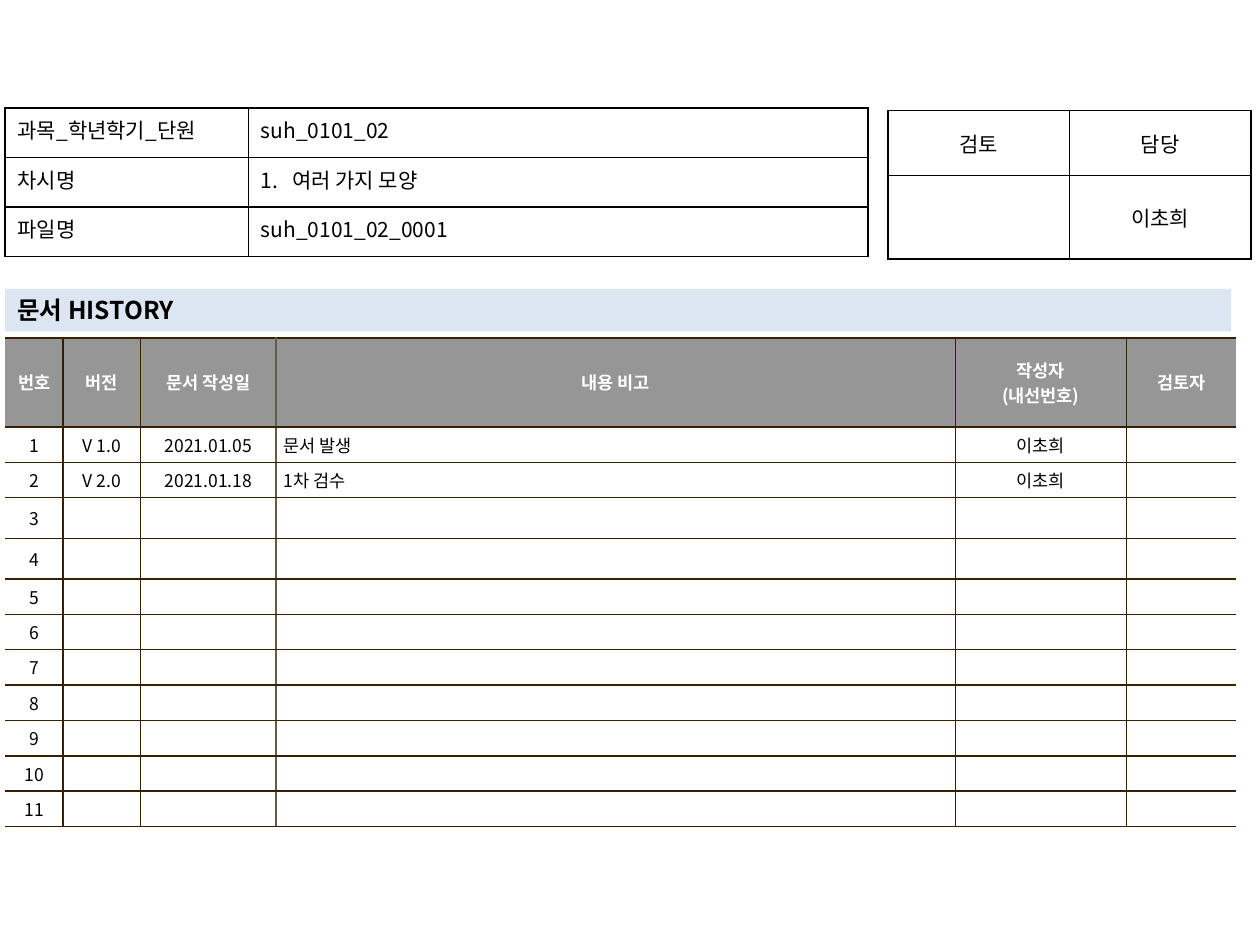
"""Build the document history slide."""
from dataclasses import dataclass
from typing import Optional

from lxml import etree
from pptx import Presentation
from pptx import util as u
from pptx.dml.color import RGBColor
from pptx.enum import shapes, text
from pptx.oxml.ns import qn


@dataclass(frozen=True)
class Theme:
    """Colours, font and type sizes of the slide."""
    font: str = "Noto Sans CJK KR"
    black: str = "000000"
    white: str = "FFFFFF"
    header: str = "969696"
    band: str = "DCE6F2"
    rule: str = "362000"
    soft_rule: str = "645B4C"
    small: float = 10
    body: float = 12
    title: float = 14


THEME = Theme()
LEFT, CENTER, JUSTIFY = text.PP_ALIGN.LEFT, text.PP_ALIGN.CENTER, text.PP_ALIGN.JUSTIFY
TOP, MIDDLE = text.MSO_ANCHOR.TOP, text.MSO_ANCHOR.MIDDLE


@dataclass(frozen=True)
class CellStyle:
    """Look of one table cell."""
    size: float = THEME.body
    color: str = THEME.black
    bold: bool = False
    align: text.PP_ALIGN = CENTER
    anchor: text.MSO_ANCHOR = MIDDLE
    fill: Optional[str] = None
    margins: tuple[float, float] = (7.2, 3.6)
    hanging: float = 0
    numbered: bool = False


@dataclass(frozen=True)
class Grid:
    """Place and track sizes of one table."""
    left: float
    top: float
    columns: list[float]
    rows: list[float]


def style_paragraph(para, style: CellStyle) -> None:
    """Apply alignment, indent, numbering and font to a paragraph."""
    properties = para._p.get_or_add_pPr()
    if style.hanging:
        properties.set("marL", str(u.Pt(style.hanging)))
        properties.set("indent", str(-u.Pt(style.hanging)))
    if style.numbered:
        etree.SubElement(properties, qn("a:buAutoNum"), type="arabicPeriod")
    para.alignment = style.align
    para.font.size = u.Pt(style.size)
    para.font.name = THEME.font
    para.font.bold = style.bold
    para.font.color.rgb = RGBColor.from_string(style.color)
    if not para.runs:
        etree.SubElement(para._p, qn("a:endParaRPr"), sz=str(int(style.size * 100)))


def set_borders(cell, colors: dict[str, Optional[str]]) -> None:
    """Draw one-point cell borders, leaving out sides without a colour."""
    properties = cell._tc.get_or_add_tcPr()
    for side in "LRTB":
        line = etree.SubElement(properties, qn(f"a:ln{side}"), w=str(u.Pt(1)))
        if colors[side] is None:
            etree.SubElement(line, qn("a:noFill"))
        else:
            fill = etree.SubElement(line, qn("a:solidFill"))
            etree.SubElement(fill, qn("a:srgbClr"), val=colors[side])


def fill_cell(cell, content: str, style: CellStyle, borders: dict[str, Optional[str]]) -> None:
    """Write and style one table cell."""
    set_borders(cell, borders)
    if style.fill:
        cell.fill.solid()
        cell.fill.fore_color.rgb = RGBColor.from_string(style.fill)
    else:
        cell.fill.background()
    across, down = style.margins
    cell.margin_left = cell.margin_right = u.Pt(across)
    cell.margin_top = cell.margin_bottom = u.Pt(down)
    cell.vertical_anchor = style.anchor
    cell.text_frame.text = content
    for para in cell.text_frame.paragraphs:
        style_paragraph(para, style)


def add_grid(page, grid: Grid):
    """Add an unbanded table with the given tracks."""
    frame = page.shapes.add_table(
        len(grid.rows), len(grid.columns), u.Pt(grid.left), u.Pt(grid.top),
        u.Pt(sum(grid.columns)), u.Pt(sum(grid.rows)))
    table = frame.table
    table.first_row = table.horz_banding = False
    for column, width in zip(table.columns, grid.columns):
        column.width = u.Pt(width)
    for row, height in zip(table.rows, grid.rows):
        row.height = u.Pt(height)
    return table


def add_boxed_table(page, grid: Grid, content: list[list[tuple[str, CellStyle]]]) -> None:
    """Add a table with black borders on every side."""
    table = add_grid(page, grid)
    for r, row in enumerate(content):
        for c, (words, style) in enumerate(row):
            fill_cell(table.cell(r, c), words, style, dict.fromkeys("LRTB", THEME.black))


def add_history(page) -> None:
    """Add the version history with open left and right edges."""
    headings = ["번호", "버전", "문서 작성일", "내용 비고", "작성자\n(내선번호)", "검토자"]
    entries = [["V 1.0", "2021.01.05", "문서 발생", "이초희", ""],
               ["V 2.0", "2021.01.18", "1차 검수", "이초희", ""]]
    entries += [[""] * 5] * 9
    rows = [headings] + [[str(n), *entry] for n, entry in enumerate(entries, 1)]
    table = add_grid(page, Grid(2.9, 193, [33.2, 44.2, 77.5, 388.2, 97.7, 62.6],
                                [51, 18, 17.3, 10.1] + [18] * 8))
    margins = (4.3, 2.9)
    edges = [None, THEME.rule, THEME.rule, THEME.soft_rule, THEME.rule, THEME.rule, None]
    heading = CellStyle(THEME.small, THEME.white, True, fill=THEME.header, margins=margins)
    for r, row in enumerate(rows):
        for c, words in enumerate(row):
            style = heading
            if r:
                is_note = c == 3
                size = THEME.body if r in (3, 4) and not words else THEME.small
                style = CellStyle(size, align=LEFT if is_note else CENTER, fill=THEME.white,
                                  margins=margins, hanging=13.5 if is_note else 0)
            fill_cell(table.cell(r, c), words, style,
                      {"L": edges[c], "R": edges[c + 1], "T": THEME.rule, "B": THEME.rule})


def add_heading(page) -> None:
    """Add the pale section band."""
    box = page.shapes.add_shape(shapes.MSO_SHAPE.RECTANGLE, u.Pt(2.9), u.Pt(165),
                                u.Pt(700.6), u.Pt(24.4))
    box.shadow.inherit = False
    box.fill.solid()
    box.fill.fore_color.rgb = RGBColor.from_string(THEME.band)
    box.line.fill.background()
    frame = box.text_frame
    frame.word_wrap = True
    frame.auto_size = text.MSO_AUTO_SIZE.SHAPE_TO_FIT_TEXT
    frame.vertical_anchor = TOP
    frame.text = "문서 HISTORY"
    style_paragraph(frame.paragraphs[0], CellStyle(THEME.title, bold=True, align=LEFT))


def main() -> None:
    """Build and save the deck."""
    deck = Presentation()
    deck.slide_width, deck.slide_height = u.Pt(720), u.Pt(540)
    page = deck.slides.add_slide(deck.slide_layouts[6])
    add_history(page)
    centered = CellStyle()
    add_boxed_table(page, Grid(507.5, 63.2, [103.7] * 2, [37, 47.8]),
                    [[("검토", centered), ("담당", centered)],
                     [("", centered), ("이초희", centered)]])
    add_heading(page)
    label = CellStyle(align=JUSTIFY, anchor=TOP)
    value = CellStyle(align=LEFT, anchor=TOP)
    lesson = CellStyle(align=LEFT, anchor=TOP, hanging=18, numbered=True)
    add_boxed_table(page, Grid(2.9, 61.8, [139, 354.2], [28.3] * 3),
                    [[("과목_학년학기_단원", label), ("suh_0101_02", value)],
                     [("차시명", label), ("여러 가지 모양", lesson)],
                     [("파일명", label), ("suh_0101_02_0001", value)]])
    deck.save("out.pptx")


if __name__ == "__main__":
    main()
